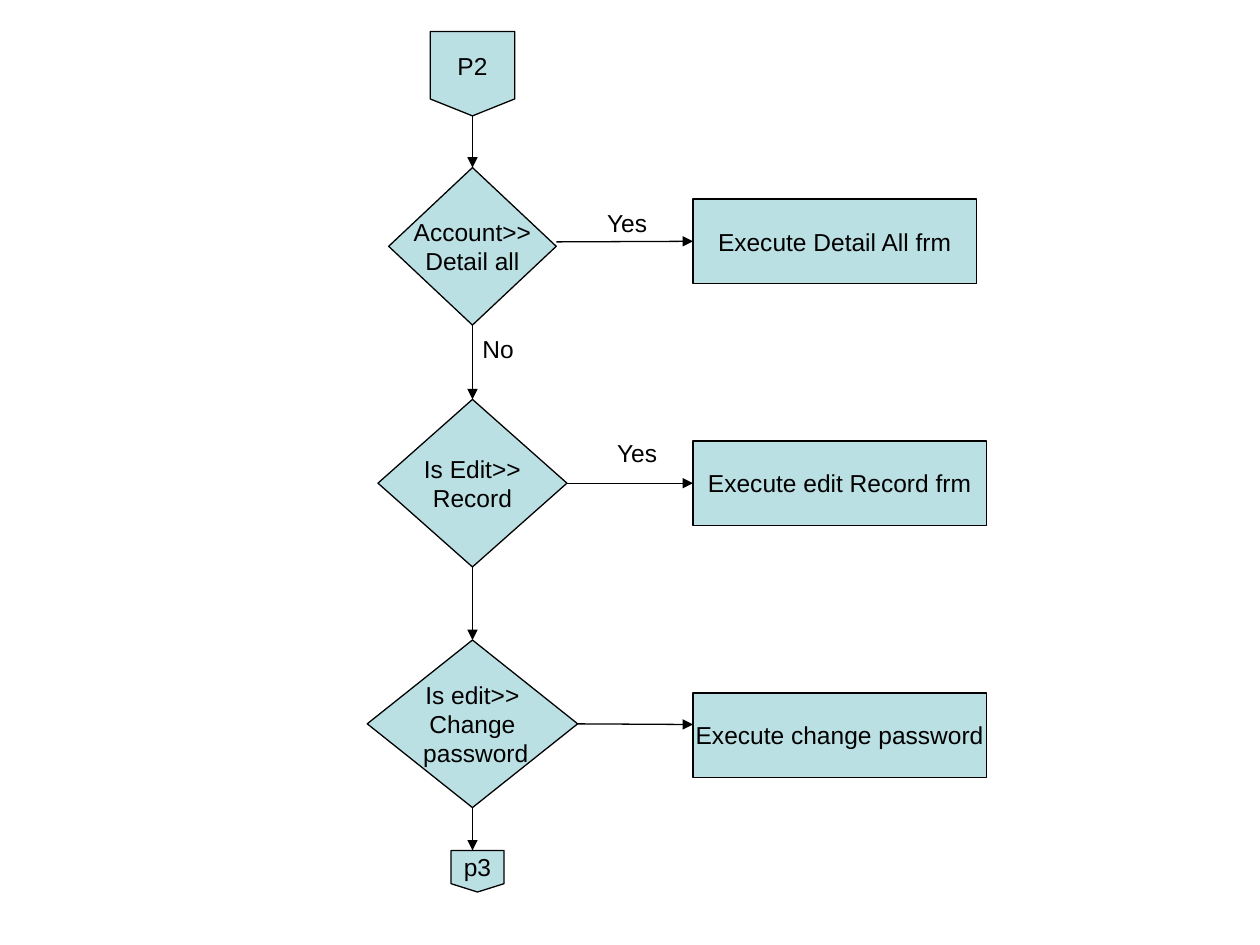
from lxml import etree
from pptx import Presentation
from pptx.dml.color import RGBColor
from pptx.enum.shapes import MSO_CONNECTOR, MSO_SHAPE
from pptx.enum.text import MSO_ANCHOR, MSO_AUTO_SIZE, PP_ALIGN
from pptx.oxml.ns import qn
from pptx.util import Inches, Pt

PAGE = MSO_SHAPE.FLOWCHART_OFFPAGE_CONNECTOR
TEST = MSO_SHAPE.FLOWCHART_DECISION
STEP = MSO_SHAPE.FLOWCHART_PROCESS
RECT = MSO_SHAPE.RECTANGLE
STRAIGHT = MSO_CONNECTOR.STRAIGHT
CENTER, LEFT = PP_ALIGN.CENTER, PP_ALIGN.LEFT
MIDDLE, TOP = MSO_ANCHOR.MIDDLE, MSO_ANCHOR.TOP
GROW = MSO_AUTO_SIZE.SHAPE_TO_FIT_TEXT

COLORS = {"fill": "BBE0E3", "ink": "000000"}
AXIS = 3.75      # centre of the main flow
STEP_X = 5.5     # left edge of the steps
STEP_H = 0.67

# kind, centre x, top, width, height, text
FLOW = [
    (PAGE, AXIS, 0.25, 0.67, 0.67, "P2"),
    (TEST, AXIS, 1.33, 1.33, 1.25, "Account>>\nDetail all"),
    (TEST, AXIS, 3.17, 1.5, 1.33, "Is Edit>>\nRecord"),
    (TEST, AXIS, 5.08, 1.67, 1.33, "Is edit>>\nChange\n password"),
    (PAGE, 3.79, 6.75, 0.42, 0.33, "p3"),
]
# kind, top, width, text, height of the arrow that leads to it
STEPS = [
    (STEP, 1.58, 2.25, "Execute Detail All frm", 1.92),
    (STEP, 3.5, 2.33, "Execute edit Record frm", 3.83),
    (RECT, 5.5, 2.33, "Execute change password", 5.75),
]
# left, top, width, text
LABELS = [
    (4.72, 1.6, 0.53, "Yes"),
    (3.73, 2.6, 0.45, "No"),
    (4.8, 3.43, 0.53, "Yes"),
]


def color(name):
    return RGBColor.from_string(COLORS[name])


def write(shape, text, align, anchor):
    frame = shape.text_frame
    frame.text = text
    frame.word_wrap = False
    frame.vertical_anchor = anchor
    for para in frame.paragraphs:
        para.alignment = align
        for run in para.runs:
            run.font.name = "Arial"
            run.font.size = Pt(14)
            run.font.color.rgb = color("ink")


def add_node(slide, kind, x, y, w, h, text):
    node = slide.shapes.add_shape(kind, Inches(x), Inches(y), Inches(w), Inches(h))
    node.shadow.inherit = False
    node.fill.solid()
    node.fill.fore_color.rgb = color("fill")
    node.line.color.rgb = color("ink")
    node.line.width = Pt(0.75)
    write(node, text, CENTER, MIDDLE)
    return node


def add_label(slide, x, y, w, text):
    box = slide.shapes.add_textbox(Inches(x), Inches(y), Inches(w), Inches(0.34))
    write(box, text, LEFT, TOP)
    box.text_frame.auto_size = GROW


def meets(node, site, x, y):
    """Tell whether the point lies at the middle of that side of the node."""
    across, down = [(0.5, 0), (0, 0.5), (0.5, 1), (1, 0.5)][site]
    gap_x = node.left + node.width * across - Inches(x)
    gap_y = node.top + node.height * down - Inches(y)
    return max(abs(gap_x), abs(gap_y)) < Inches(0.02)


def add_arrow(slide, start, end, source, target, sites):
    """Draw an arrow, joined at each end that meets the middle of a side."""
    line = slide.shapes.add_connector(STRAIGHT, *map(Inches, start + end))
    line.line.color.rgb = color("ink")
    line.line.width = Pt(0.75)
    tip = etree.SubElement(line.line._get_or_add_ln(), qn("a:tailEnd"))
    tip.set("type", "triangle")
    etree.SubElement(line._element.spPr, qn("a:effectLst"))
    if meets(source, sites[0], *start):
        line.begin_connect(source, sites[0])
    if meets(target, sites[1], *end):
        line.end_connect(target, sites[1])


def main():
    deck = Presentation()
    deck.slide_width, deck.slide_height = Inches(10), Inches(7.5)
    slide = deck.slides.add_slide(deck.slide_layouts[6])

    nodes = [add_node(slide, kind, mid - w / 2, y, w, h, text)
             for kind, mid, y, w, h, text in FLOW]
    for i in range(len(FLOW) - 1):
        _, _, y, _, h, _ = FLOW[i]
        add_arrow(slide, (AXIS, y + h), (AXIS, FLOW[i + 1][2]),
                  nodes[i], nodes[i + 1], (2, 0))

    for test, row, (kind, y, w, text, level) in zip(nodes[1:], FLOW[1:], STEPS):
        step = add_node(slide, kind, STEP_X, y, w, STEP_H, text)
        edge = AXIS + row[3] / 2
        add_arrow(slide, (edge, level), (STEP_X, level), test, step, (3, 1))

    for label in LABELS:
        add_label(slide, *label)
    deck.save("out.pptx")


if __name__ == "__main__":
    main()
